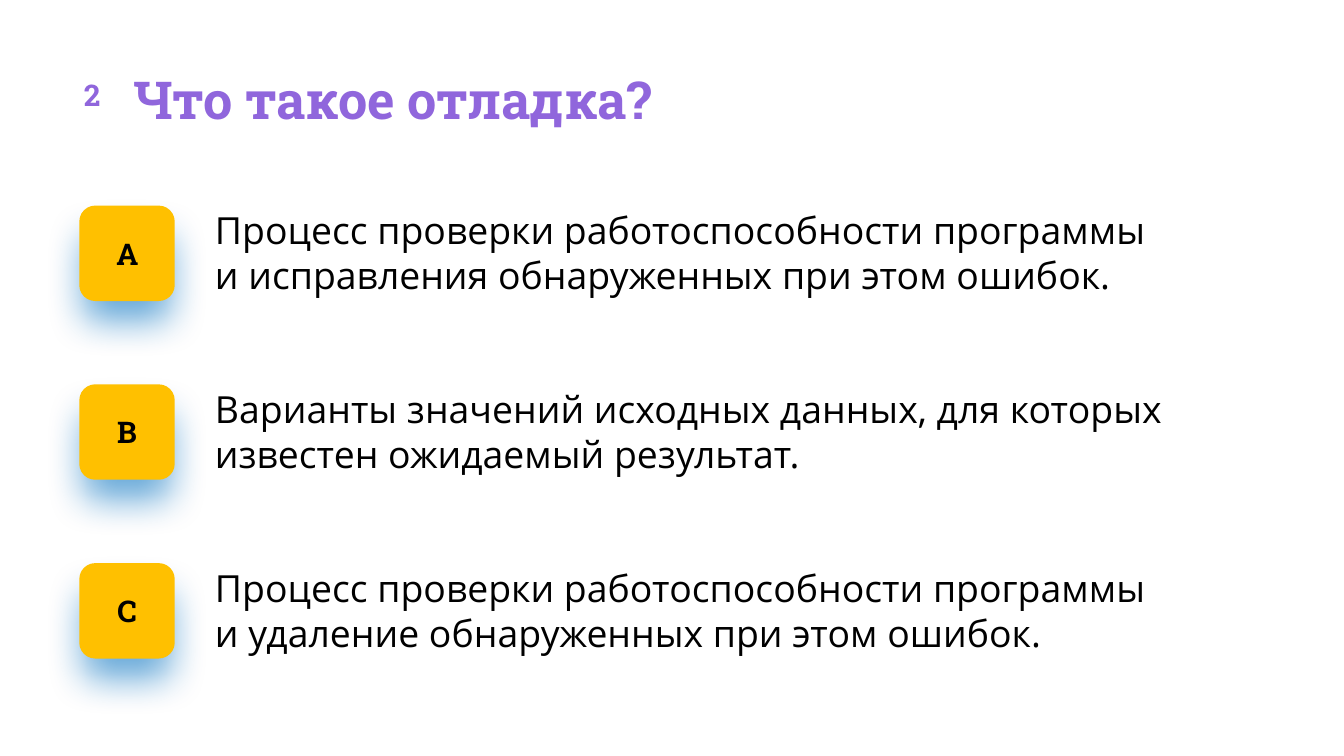
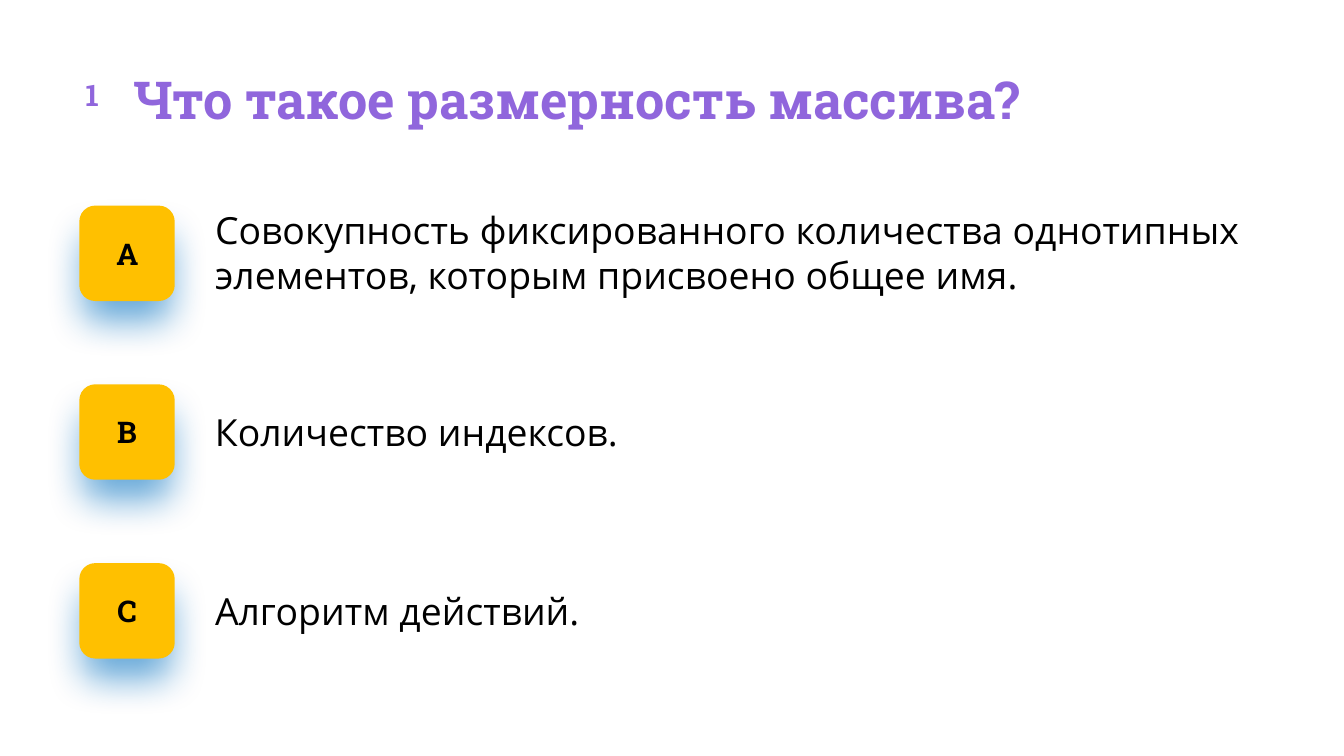
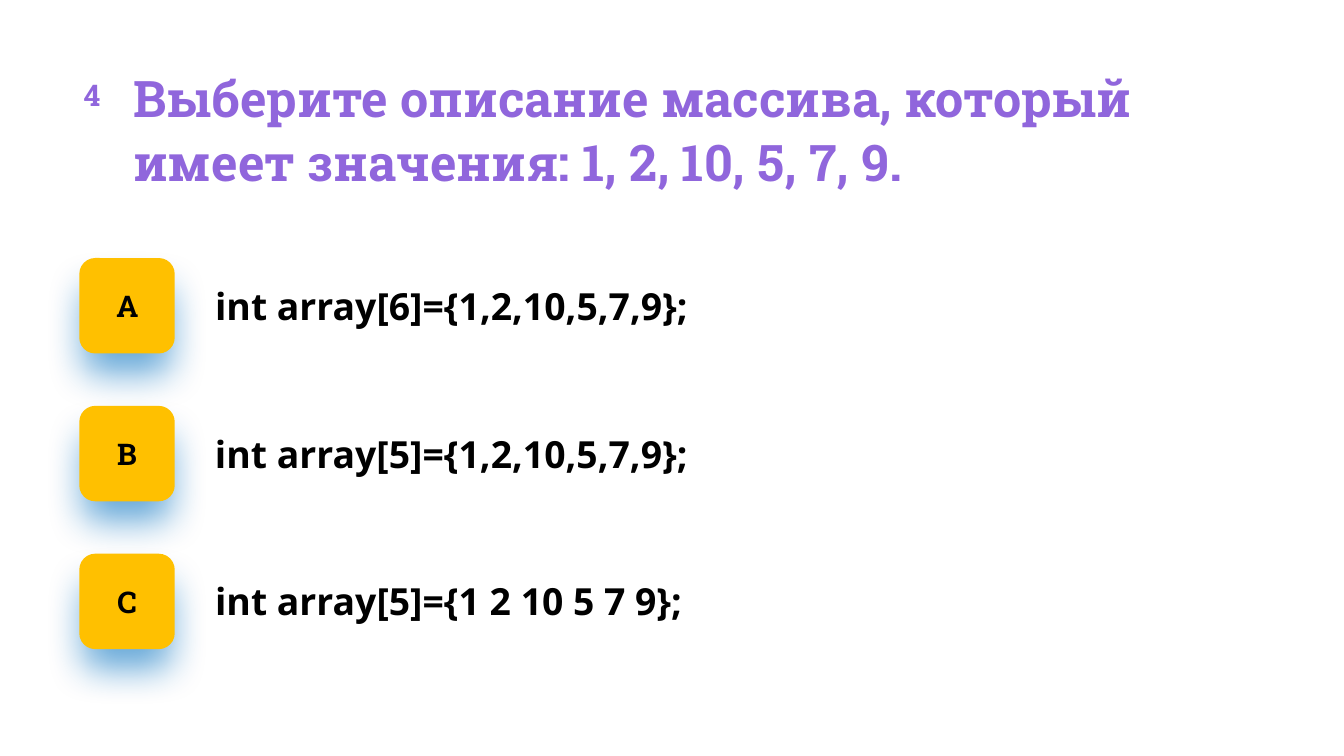
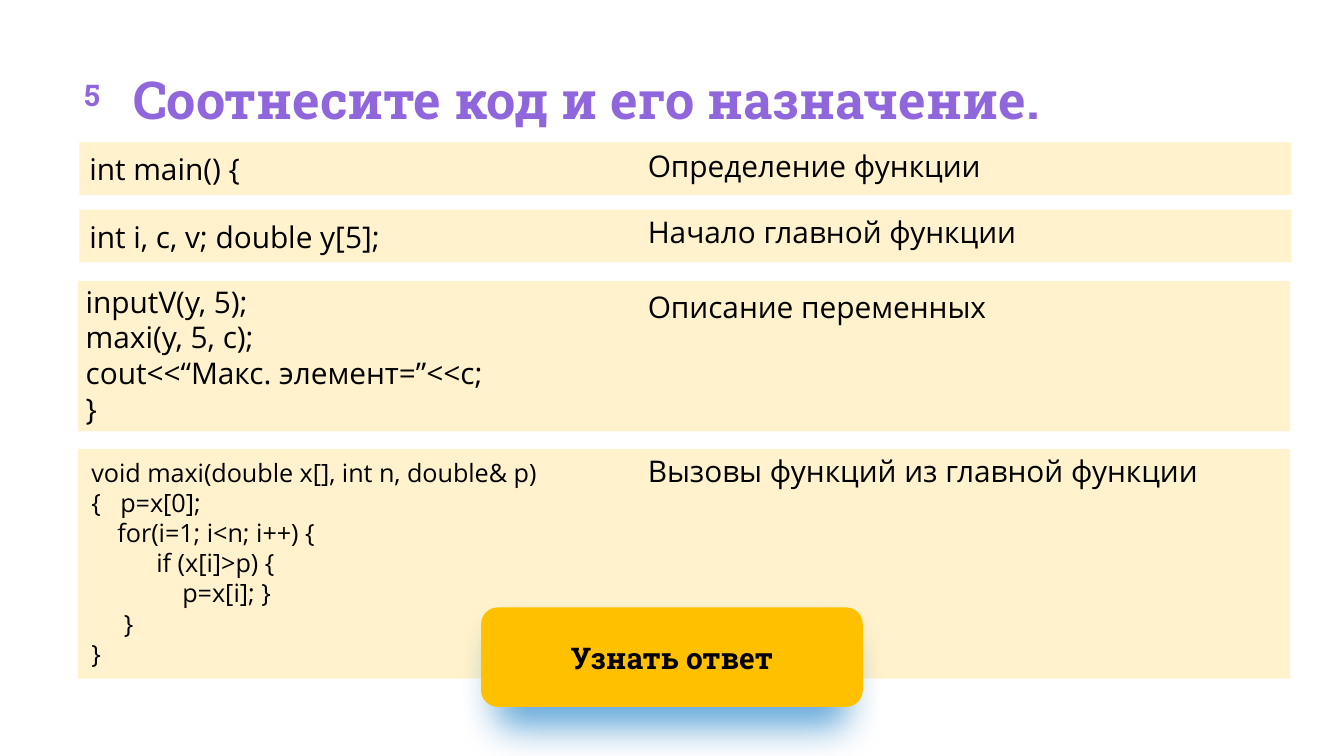
from lxml.etree import SubElement
from pptx import Presentation
from pptx.dml.color import RGBColor
from pptx.enum.shapes import MSO_SHAPE
from pptx.enum.text import MSO_ANCHOR, MSO_AUTO_SIZE, PP_ALIGN
from pptx.oxml.ns import qn
from pptx.util import Inches, Pt

PURPLE = "9066DC"
AMBER = "FFC000"
CREAM = "FFF2CC"
BLACK = "000000"
SHADOW_BLUE = "0070C0"
HEADING_FONT = "Roboto Slab"
BODY_FONT = "Open Sans"

SLIDE_WIDTH = 10
SLIDE_HEIGHT = SLIDE_WIDTH * 9 / 16
BADGE_LEFT = 0.59
BADGE_SIZE = 0.71
ANSWER_LEFT = 1.46
ANSWER_LINE = 0.34
ANSWER_LETTERS = "АBC"

QUIZ = [
    {
        "number": "2",
        "question": "Что такое отладка?",
        "title_box": (8.61, 0.47),
        "first_row": 1.53,
        "row_step": 1.33,
        "answers": [
            ("Процесс проверки работоспособности программы и исправления обнаруженных при этом ошибок.", 2, 7.24),
            ("Варианты значений исходных данных, для которых известен ожидаемый результат.", 2, 7.24),
            ("Процесс проверки работоспособности программы и удаление обнаруженных при этом ошибок.", 2, 7.24),
        ],
    },
    {
        "number": "1",
        "question": "Что такое размерность массива?",
        "title_box": (8.87, 0.47),
        "first_row": 1.53,
        "row_step": 1.33,
        "answers": [
            ("Совокупность фиксированного количества однотипных элементов, которым присвоено общее имя.", 2, 7.95),
            ("Количество индексов.", 1, 7.24),
            ("Алгоритм действий.", 1, 8.15),
        ],
    },
    {
        "number": "4",
        "question": "Выберите описание массива, который имеет значения: 1, 2, 10, 5, 7, 9.",
        "title_box": (8.72, 0.94),
        "title_size": 27,
        "first_row": 1.92,
        "row_step": 1.1,
        "bold": True,
        "answers": [
            ("int array[6]={1,2,10,5,7,9};", 1, 7.95),
            ("int array[5]={1,2,10,5,7,9};", 1, 7.24),
            ("int array[5]={1 2 10 5 7 9};", 1, 8.15),
        ],
    },
]

MAXI_CODE = """void maxi(double x[], int n, double& p)
{   p=x[0];
    for(i=1; i<n; i++) {
          if (x[i]>p) {
              p=x[i]; }
     }
}"""
CALLS_CODE = """inputV(y, 5);
maxi(y, 5, c);
cout<<“Макс. элемент=”<<c;
}"""

MATCHES = [
    ((0.59, 1.06, 9.02, 0.39), "int main() {", (0.65, 1.11, 3.39, 0.3), 16,
     "Определение функции", 1.1),
    ((0.59, 1.56, 9.02, 0.39), "int i, c, v; double y[5];", (0.65, 1.61, 3.39, 0.3), 16,
     "Начало главной функции", 1.59),
    ((0.58, 2.09, 9.02, 1.12), CALLS_CODE, (0.58, 2.05, 3.39, 1.19), 16,
     "Описание переменных", 2.15),
    ((0.58, 3.34, 9.02, 1.71), MAXI_CODE, (0.58, 3.3, 4.64, 2.06), 13.5,
     "Вызовы функций из главной функции", 3.37),
]


def rgb(hex_color):
    return RGBColor.from_string(hex_color)


def inches(box):
    return [Inches(length) for length in box]


def write(holder, text, size, font_name, color=BLACK, bold=False, align=PP_ALIGN.LEFT,
          anchor=MSO_ANCHOR.TOP, insets=(0, 0, 0, 0), grow=True, line_spacing=None):
    frame = holder.text_frame
    frame.text = text
    frame.word_wrap = True
    frame.auto_size = MSO_AUTO_SIZE.SHAPE_TO_FIT_TEXT if grow else MSO_AUTO_SIZE.NONE
    frame.vertical_anchor = anchor
    (frame.margin_left, frame.margin_top,
     frame.margin_right, frame.margin_bottom) = inches(insets)
    for paragraph in frame.paragraphs:
        paragraph.alignment = align
        if line_spacing:
            paragraph.line_spacing = line_spacing
        for run in paragraph.runs:
            run.font.size = Pt(size)
            run.font.name = font_name
            run.font.bold = bold
            run.font.color.rgb = rgb(color)


def add_panel(slide, box, fill=None, preset=MSO_SHAPE.ROUNDED_RECTANGLE):
    panel = slide.shapes.add_shape(preset, *inches(box))
    panel.shadow.inherit = False
    panel.line.fill.background()
    if fill:
        panel.fill.solid()
        panel.fill.fore_color.rgb = rgb(fill)
    else:
        panel.fill.background()
    return panel


def drop_shadow(panel):
    effects = panel.element.spPr.find(qn("a:effectLst"))
    shadow = SubElement(effects, qn("a:outerShdw"), blurRad=str(Pt(20)), dist=str(Pt(15)),
                        dir="5400000", sx="92000", sy="92000", algn="t", rotWithShape="0")
    tint = SubElement(shadow, qn("a:srgbClr"), val=SHADOW_BLUE)
    SubElement(tint, qn("a:alpha"), val="60000")


def add_button(slide, box, label, insets=(0, 0, 0, 0), grow=False):
    button = add_panel(slide, box, AMBER)
    drop_shadow(button)
    write(button, label, 16, HEADING_FONT, bold=True, align=PP_ALIGN.CENTER,
          anchor=MSO_ANCHOR.MIDDLE, insets=insets, grow=grow)


def add_body(slide, box, text, size, bold=False):
    body = slide.shapes.add_textbox(*inches(box))
    write(body, text, size, BODY_FONT, bold=bold, insets=(0.14, 0, 0, 0))


def add_question_slide(prs, number, question, title_box=(8.61, 0.47), title_size=28):
    slide = prs.slides.add_slide(prs.slide_layouts[5])
    title = slide.shapes.title
    title.left, title.top, title.width, title.height = inches((0.99, 0.47, *title_box))
    write(title, question, title_size, HEADING_FONT, PURPLE, bold=True, line_spacing=1.06)
    number_mark = add_panel(slide, (0.39, 0.41, 0.59, 0.59))
    write(number_mark, number, 16, HEADING_FONT, PURPLE, bold=True, align=PP_ALIGN.CENTER,
          anchor=MSO_ANCHOR.MIDDLE, grow=False)
    return slide


def add_quiz_slide(prs, number, question, title_box, first_row, row_step, answers,
                   title_size=28, bold=False):
    slide = add_question_slide(prs, number, question, title_box, title_size)
    for row, (letter, (answer, lines, width)) in enumerate(zip(ANSWER_LETTERS, answers)):
        top = first_row + row * row_step
        add_button(slide, (BADGE_LEFT, top, BADGE_SIZE, BADGE_SIZE), letter)
        height = lines * ANSWER_LINE
        answer_top = top + (BADGE_SIZE - height) / 2
        add_body(slide, (ANSWER_LEFT, answer_top, width, height), answer, 20, bold)


def add_matching_slide(prs):
    slide = add_question_slide(prs, "5", "Соотнесите код и его назначение.")
    for band_box, code, code_box, code_size, purpose, purpose_top in MATCHES:
        add_panel(slide, band_box, CREAM, MSO_SHAPE.RECTANGLE)
        write(add_panel(slide, code_box), code, code_size, BODY_FONT)
        add_body(slide, (4.68, purpose_top, 4.6, 0.27), purpose, 16)
    add_button(slide, (3.58, 4.52, 2.84, 0.74), "Узнать ответ",
               insets=(0.39, 0.2, 0.39, 0.2), grow=True)


def main():
    prs = Presentation()
    prs.slide_width, prs.slide_height = inches((SLIDE_WIDTH, SLIDE_HEIGHT))
    for quiz in QUIZ:
        add_quiz_slide(prs, **quiz)
    add_matching_slide(prs)
    prs.save("out.pptx")


if __name__ == "__main__":
    main()
